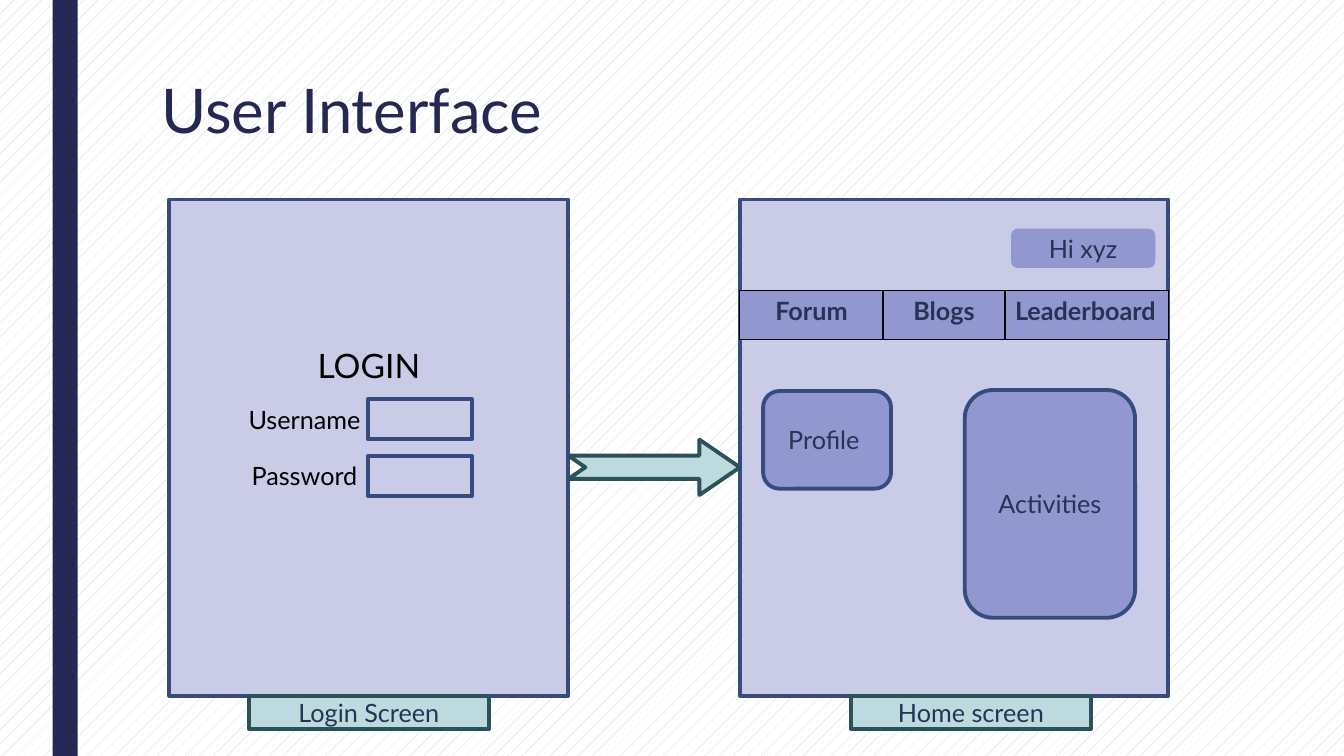
from dataclasses import dataclass

from lxml import etree
from pptx import Presentation
from pptx.dml.color import RGBColor
from pptx.enum import dml, shapes, text
from pptx.oxml import ns
from pptx.util import Pt


@dataclass(frozen=True)
class Theme:
    font: str = "Lato"
    navy: str = "242852"
    ink: str = "253356"
    black: str = "000000"
    white: str = "FFFFFF"
    panel: str = "C9CBE7"
    accent: str = "9297CF"
    edge: str = "374B7F"
    teal: str = "BDDADF"
    teal_edge: str = "2B5259"
    title_size: float = 44
    heading_size: float = 24
    body_size: float = 18
    line_width: float = 2.75


@dataclass(frozen=True)
class Box:
    left: float
    top: float
    width: float
    height: float

    def inner(self, left, top, width, height):
        return Box(self.left + left, self.top + top, width, height)

    def points(self):
        return Pt(self.left), Pt(self.top), Pt(self.width), Pt(self.height)


THEME = Theme()
SHAPE = shapes.MSO_SHAPE
CENTER = text.PP_ALIGN.CENTER


def color(value):
    return RGBColor.from_string(value)


def write(frame, words, size, ink, align=CENTER, bold=False):
    frame.text = words
    para = frame.paragraphs[0]
    para.alignment = align
    for span in para.runs:
        span.font.name = THEME.font
        span.font.size = Pt(size)
        span.font.bold = bold
        span.font.color.rgb = color(ink)
    return para


def add_block(page, kind, box, fill, edge=None, words=None):
    block = page.shapes.add_shape(kind, *box.points())
    block.shadow.inherit = False
    block.fill.solid()
    block.fill.fore_color.rgb = color(fill)
    if edge:
        block.line.color.rgb = color(edge)
        block.line.width = Pt(THEME.line_width)
    else:
        block.line.fill.background()
    if words:
        block.text_frame.vertical_anchor = text.MSO_ANCHOR.MIDDLE
        write(block.text_frame, words, THEME.body_size, THEME.ink)
    return block


def add_label(page, box, words, size):
    frame = page.shapes.add_textbox(*box.points()).text_frame
    frame.word_wrap = True
    frame.auto_size = text.MSO_AUTO_SIZE.SHAPE_TO_FIT_TEXT
    write(frame, words, size, THEME.black)


def set_borders(cell):
    properties = cell._tc.get_or_add_tcPr()
    for index, side in enumerate(("lnL", "lnR", "lnT", "lnB")):
        line = etree.Element(ns.qn(f"a:{side}"), w=str(Pt(1)))
        fill = etree.SubElement(line, ns.qn("a:solidFill"))
        etree.SubElement(fill, ns.qn("a:srgbClr"), val=THEME.black)
        properties.insert(index, line)


def add_background(page, box):
    fill = page.background.fill
    fill.patterned()
    fill.pattern = dml.MSO_PATTERN.PERCENT_5
    fill.fore_color.rgb = color(THEME.panel)
    fill.back_color.rgb = color(THEME.white)
    add_block(page, SHAPE.RECTANGLE, box, THEME.navy)


def add_title(page, box, words):
    title = page.shapes.title
    title.left, title.top, title.width, title.height = box.points()
    title.text_frame.vertical_anchor = text.MSO_ANCHOR.TOP
    para = write(title.text_frame, words, THEME.title_size, THEME.navy,
                 text.PP_ALIGN.LEFT)
    para.line_spacing = 0.89


def add_caption(page, box, words, shift=0):
    width = 171.4
    place = box.inner((box.width - width) / 2 + shift, box.height, width, 23.8)
    add_block(page, SHAPE.RECTANGLE, place, THEME.teal, THEME.teal_edge, words)


def add_login_screen(page, box):
    add_block(page, SHAPE.RECTANGLE, box, THEME.panel, THEME.edge)
    add_label(page, box.inner(69, 100, 147, 36), "LOGIN", THEME.heading_size)
    for row, words in enumerate(("Username", "Password")):
        top = 142.6 + row * 40.5
        add_block(page, SHAPE.RECTANGLE, box.inner(141.8, top, 74.2, 28.8),
                  THEME.panel, THEME.edge)
        add_label(page, box.inner(31.7, top, 129.6, 28.8), words, THEME.body_size)
    add_caption(page, box, "Login Screen")


def add_menu(page, box):
    items = (
        ("Forum", 102.25, CENTER),
        ("Blogs", 87.1, CENTER),
        ("Leaderboard", 116.65, text.PP_ALIGN.LEFT),
    )
    menu = page.shapes.add_table(1, len(items), *box.points()).table
    menu.rows[0].height = Pt(box.height)
    for index, (words, width, align) in enumerate(items):
        menu.columns[index].width = Pt(width)
        cell = menu.cell(0, index)
        cell.fill.solid()
        cell.fill.fore_color.rgb = color(THEME.accent)
        write(cell.text_frame, words, THEME.body_size, THEME.ink, align, True)
        set_borders(cell)


def add_home_screen(page, box):
    add_block(page, SHAPE.RECTANGLE, box, THEME.panel, THEME.edge)
    add_menu(page, box.inner(0, 64.8, box.width, 35.3))
    cards = (
        ("Profile ", box.inner(16.6, 136.8, 91.4, 69.8)),
        ("Activities", box.inner(160.6, 136.1, 121.7, 162.7)),
    )
    for words, place in cards:
        add_block(page, SHAPE.FLOWCHART_ALTERNATE_PROCESS, place,
                  THEME.accent, THEME.edge, words)
    add_block(page, SHAPE.ROUNDED_RECTANGLE, box.inner(193.7, 20.9, 103, 28),
              THEME.accent, words="Hi xyz")
    add_caption(page, box, "Home screen", 12)


def add_arrow(page, start, end):
    left = start.left + start.width
    box = Box(left, start.top + 171.5, end.left - left, 39.6)
    arrow = add_block(page, SHAPE.NOTCHED_RIGHT_ARROW, box,
                      THEME.teal, THEME.teal_edge)
    arrow.adjustments[0] = 0.42
    arrow.adjustments[1] = 0.73


def main():
    deck = Presentation()
    deck.slide_width, deck.slide_height = Pt(960), Pt(540)
    page = deck.slides.add_slide(deck.slide_layouts[5])
    login = Box(121, 142.5, 285, 354.5)
    home = Box(528.5, 142.5, 306, 354.5)
    add_background(page, Box(37.5, 0, 18, 540))
    add_title(page, Box(108, 54, 756, 65.5), "User Interface")
    add_login_screen(page, login)
    add_home_screen(page, home)
    add_arrow(page, login, home)
    deck.save("out.pptx")


if __name__ == "__main__":
    main()
